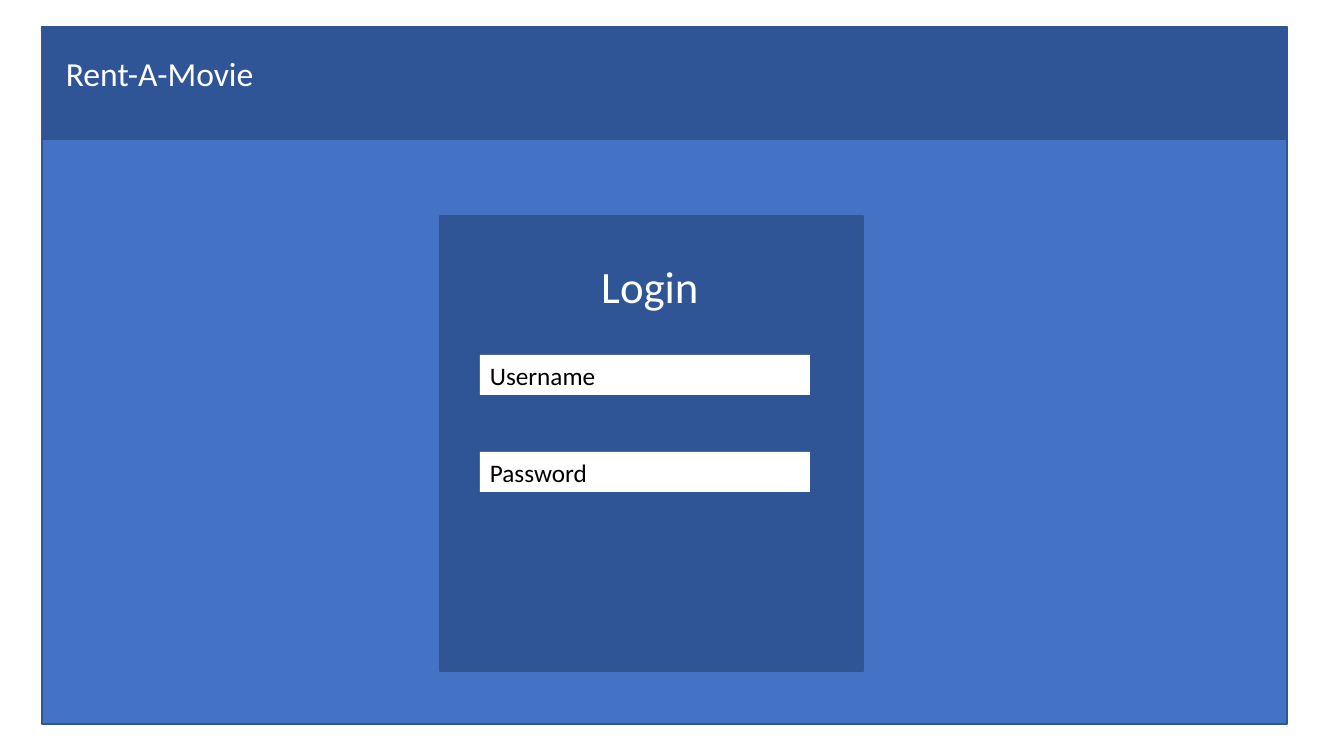
from pptx import Presentation
from pptx import util as u
from pptx.dml.color import RGBColor
from pptx.enum import shapes, text

THEME = {
    "font": "Calibri",
    "page": "4472C4", "panel": "2F5597", "outline": "325491",
    "light": "FFFFFF", "dark": "000000",
    "brand_size": 24, "heading_size": 32, "field_size": 18,
}
BRAND = "Rent-A-Movie"
HEADING = "Login"
FIELDS = ["Username", "Password"]

SLIDE_WIDTH, SLIDE_HEIGHT = 1344, 756
PAGE = (42, 27, 1245, 697)
HEADER = (*PAGE[:3], 112)
BRAND_BOX = (56, 48, 384, 50)
LOGIN_PANEL = (440, 216, 423, 455)
HEADING_BOX = (469, 254, 362, 65)
FIELD_LEFT, FIELD_TOP, FIELD_WIDTH, FIELD_HEIGHT = 480, 355, 330, 40
FIELD_STEP = 97


def px(length):
    return u.Emu(round(length * u.Inches(1) / 100.8))


def color(name):
    return RGBColor.from_string(THEME[name])


def add_box(slide, bounds, fill, outline=None):
    shape = slide.shapes.add_shape(shapes.MSO_SHAPE.RECTANGLE, *map(px, bounds))
    shape.shadow.inherit = False
    shape.fill.solid()
    shape.fill.fore_color.rgb = color(fill)
    if outline:
        shape.line.color.rgb = color(outline)
        shape.line.width = u.Pt(1)
    else:
        shape.line.fill.background()
    return shape


def write(shape, words, size, ink, align=text.PP_ALIGN.LEFT):
    frame = shape.text_frame
    frame.word_wrap = True
    frame.auto_size = text.MSO_AUTO_SIZE.SHAPE_TO_FIT_TEXT
    frame.vertical_anchor = text.MSO_ANCHOR.TOP
    paragraph = frame.paragraphs[0]
    paragraph.alignment = align
    run = paragraph.add_run()
    run.text = words
    run.font.name = THEME["font"]
    run.font.size = u.Pt(THEME[size])
    run.font.color.rgb = color(ink)


presentation = Presentation()
presentation.slide_width = px(SLIDE_WIDTH)
presentation.slide_height = px(SLIDE_HEIGHT)
slide = presentation.slides.add_slide(presentation.slide_layouts[6])

add_box(slide, PAGE, "page", "outline")
add_box(slide, HEADER, "panel", "outline")
write(slide.shapes.add_textbox(*map(px, BRAND_BOX)), BRAND, "brand_size", "light")

add_box(slide, LOGIN_PANEL, "panel", "outline")
write(slide.shapes.add_textbox(*map(px, HEADING_BOX)), HEADING, "heading_size", "light",
      align=text.PP_ALIGN.CENTER)

for index, label in enumerate(FIELDS):
    bounds = (FIELD_LEFT, FIELD_TOP + index * FIELD_STEP, FIELD_WIDTH, FIELD_HEIGHT)
    write(add_box(slide, bounds, "light"), label, "field_size", "dark")

presentation.save("out.pptx")
